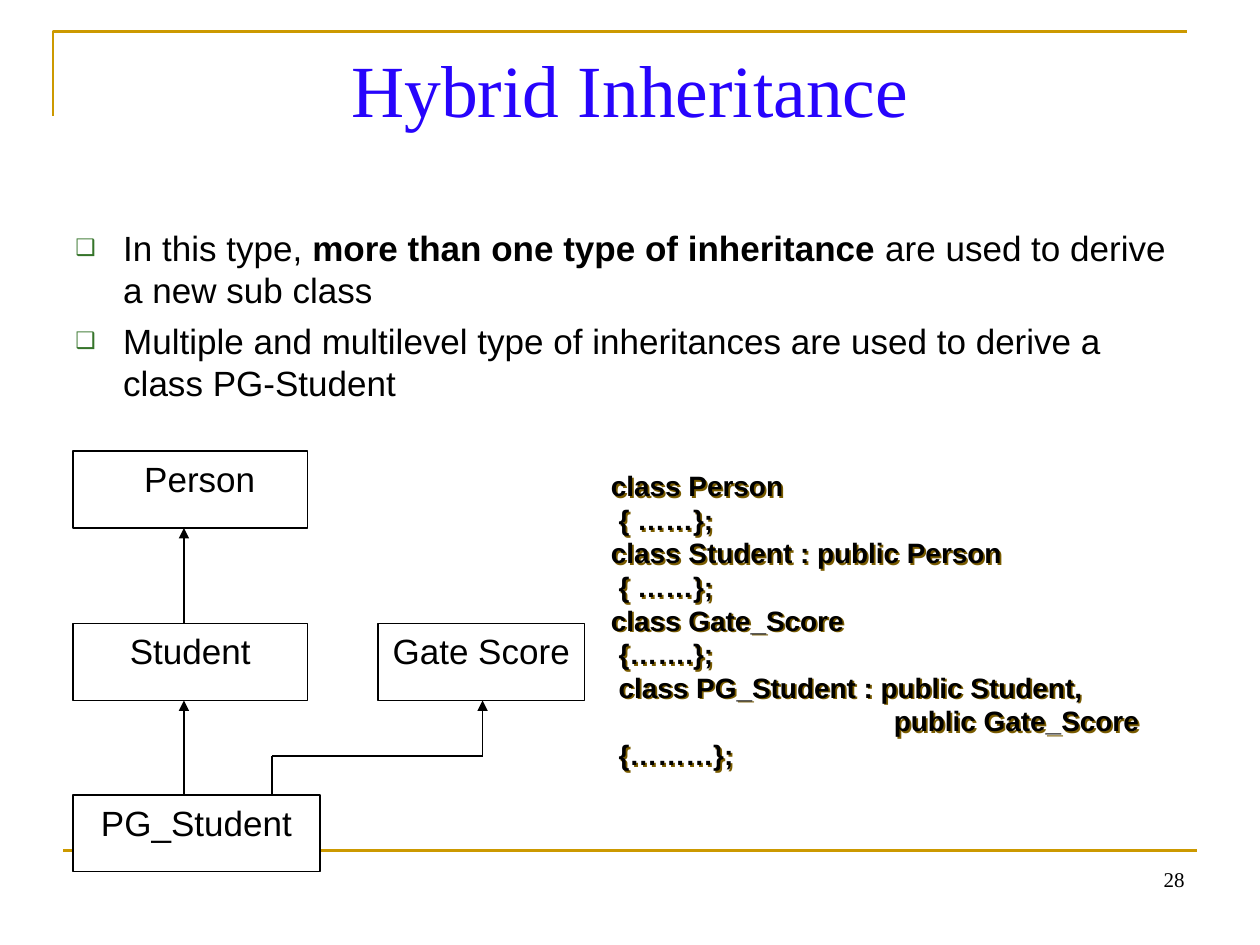
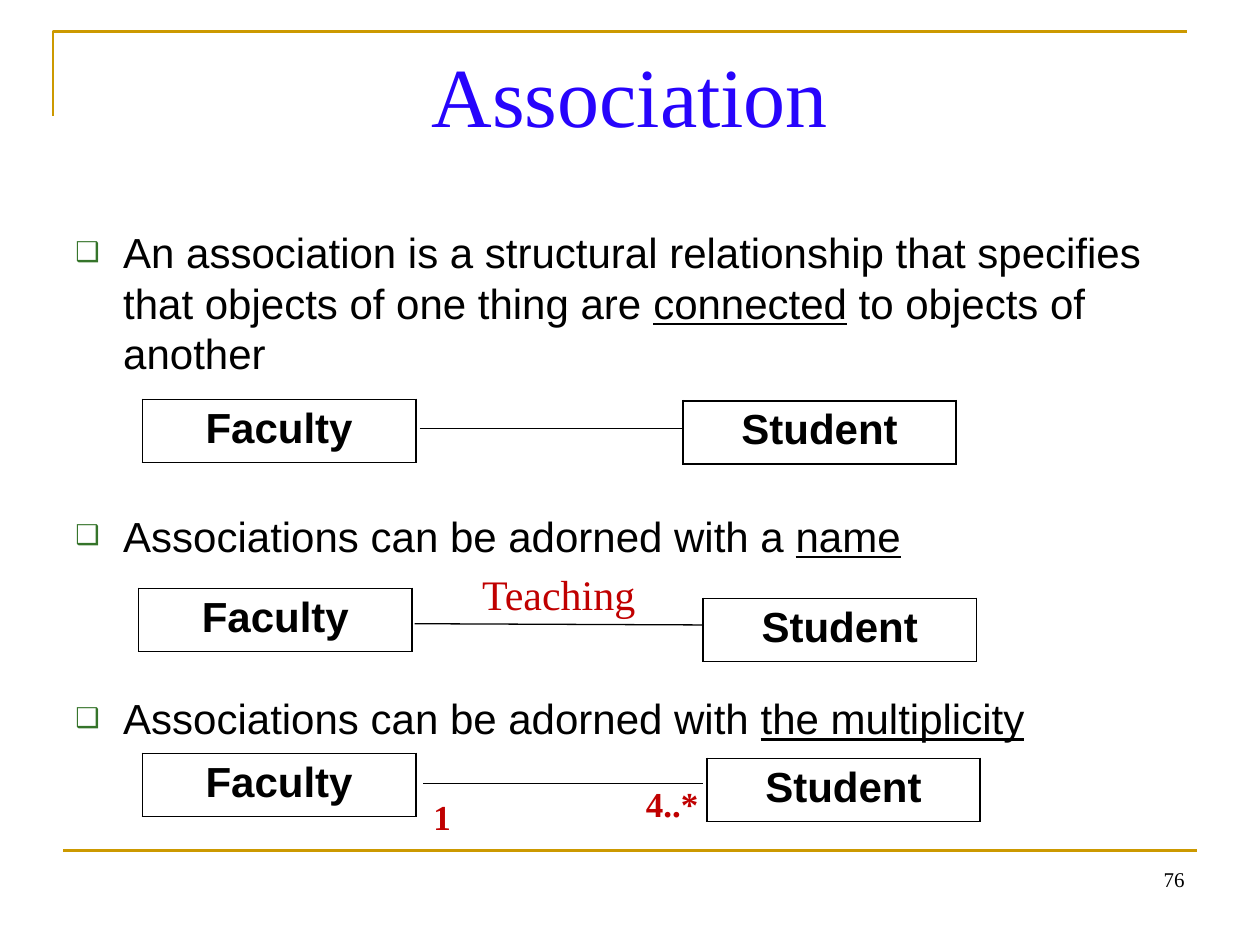
from dataclasses import dataclass

from lxml.etree import SubElement
from pptx import Presentation
from pptx.dml.color import RGBColor
from pptx.enum.shapes import MSO_CONNECTOR, MSO_SHAPE
from pptx.enum.text import MSO_ANCHOR, PP_ALIGN
from pptx.oxml.ns import qn
from pptx.util import Inches, Pt

BLACK = RGBColor(0x00, 0x00, 0x00)
WHITE = RGBColor(0xFF, 0xFF, 0xFF)
TITLE_BLUE = RGBColor(0x27, 0x04, 0xFC)
GOLD = RGBColor(0xCC, 0x99, 0x00)
DARK_GOLD = RGBColor(0x7A, 0x5C, 0x00)
BULLET_GREEN = RGBColor(0x35, 0x74, 0x2A)
ADORNMENT_RED = RGBColor(0xC0, 0x00, 0x00)

SANS, SERIF = "Arial", "Times New Roman"
COLUMNS, ROWS = 10, 7.5
CELL = Inches(1)
LINE_HEIGHT = 1.2
CLASS_HEIGHT = 0.61
ENTITY_WIDTH, ENTITY_HEIGHT = 2.17, 0.5

CODE = (
    "class Person",
    " { ……};",
    "class Student : public Person",
    " { ……};",
    "class Gate_Score",
    " {…….};",
    " class PG_Student : public Student,",
    "\t \t    public Gate_Score",
    " {………};",
)


@dataclass
class Style:
    """Typeface settings of a paragraph."""
    size: float
    name: str = SANS
    color: RGBColor = BLACK
    bold: bool = False
    align: PP_ALIGN = PP_ALIGN.LEFT


def cells(*counts):
    """Convert counts of grid cells to lengths."""
    return [round(count * CELL) for count in counts]


def style_paragraph(paragraph, style):
    """Apply a style to a paragraph and its runs."""
    paragraph.alignment = style.align
    paragraph.line_spacing = Pt(round(style.size * LINE_HEIGHT, 1))
    for run in paragraph.runs:
        run.font.size = Pt(style.size)
        run.font.name = style.name
        run.font.color.rgb = style.color
        if style.bold:
            run.font.bold = True


def write_lines(frame, lines, style):
    """Fill a text frame with one styled paragraph per line."""
    frame.text = "\n".join(lines)
    for paragraph in frame.paragraphs:
        style_paragraph(paragraph, style)


def add_text(slide, box, lines, style, wrap=True, anchor=MSO_ANCHOR.TOP):
    """Add a text box and return it."""
    text = slide.shapes.add_textbox(*cells(*box))
    text.text_frame.word_wrap = wrap
    text.text_frame.vertical_anchor = anchor
    write_lines(text.text_frame, lines, style)
    return text


def add_line(slide, start, end, color=BLACK, width=0.75, arrow=False):
    """Draw a straight line, with an arrowhead at its end if asked."""
    line = slide.shapes.add_connector(MSO_CONNECTOR.STRAIGHT, *cells(*start, *end))
    line.line.color.rgb = color
    line.line.width = Pt(width)
    if arrow:
        SubElement(line.line._get_or_add_ln(), qn("a:tailEnd"), type="triangle")
    SubElement(line._element.spPr, qn("a:effectLst"))


def add_frame(slide):
    """Draw the gold corner and the footer rule."""
    left, top = 0.42, 0.25
    builder = slide.shapes.build_freeform(*cells(left, top + 0.67))
    builder.add_line_segments([cells(left, top), cells(left + 9, top)], close=False)
    corner = builder.convert_to_shape()
    corner.fill.background()
    corner.line.color.rgb = GOLD
    corner.line.width = Pt(1.5)
    corner.shadow.inherit = False
    add_line(slide, (0.5, 6.75), (9.5, 6.75), GOLD, 1.5)


def add_topic_slide(deck, title, title_size, number):
    """Add a slide with its frame, title and page number."""
    slide = deck.slides.add_slide(deck.slide_layouts[6])
    add_frame(slide)
    add_text(slide, (0.5, 0.3, 9, 1.25), [title],
             Style(title_size, SERIF, TITLE_BLUE, align=PP_ALIGN.CENTER))
    add_text(slide, (7.17, 6.83, 2.33, 0.52), [number],
             Style(12, SERIF, align=PP_ALIGN.RIGHT))
    return slide


def add_bullet_mark(paragraph):
    """Give a paragraph a hanging green square."""
    properties = paragraph._p.get_or_add_pPr()
    indent = Inches(0.38)
    properties.set("marL", str(indent))
    properties.set("indent", str(-indent))
    color = SubElement(properties, qn("a:buClr"))
    SubElement(color, qn("a:srgbClr"), val=str(BULLET_GREEN))
    SubElement(properties, qn("a:buSzPct"), val="65000")
    SubElement(properties, qn("a:buFont"), typeface=SANS)
    SubElement(properties, qn("a:buChar"), char="❑")


def add_bullets(slide, points, size, gap, emphasis):
    """Write points as (before, stressed, after), stressing by a font attribute."""
    body = add_text(slide, (0.5, 1.75, 9, 4.95), [""] * len(points), Style(size))
    for index, (paragraph, parts) in enumerate(zip(body.text_frame.paragraphs, points)):
        add_bullet_mark(paragraph)
        for position, part in enumerate(parts):
            run = paragraph.add_run()
            run.text = part
            if position == 1:
                setattr(run.font, emphasis, True)
        style_paragraph(paragraph, Style(size))
        if index:
            paragraph.space_before = Pt(gap)


def add_class(slide, name, left, top, width, shift=0):
    """Draw a class box, its name shifted by a wider left margin."""
    box = slide.shapes.add_shape(MSO_SHAPE.RECTANGLE, *cells(left, top, width, CLASS_HEIGHT))
    box.fill.solid()
    box.fill.fore_color.rgb = WHITE
    box.line.color.rgb = BLACK
    box.line.width = Pt(0.75)
    box.shadow.inherit = False
    frame = box.text_frame
    frame.word_wrap = True
    frame.vertical_anchor = MSO_ANCHOR.TOP
    frame.margin_left = Inches(0.1 + shift)
    write_lines(frame, [name], Style(20, align=PP_ALIGN.CENTER))


def add_code(slide):
    """Write the class declarations with tab stops and a gold shadow."""
    code = add_text(slide, (4.75, 3.67, 4.91, 2.5), CODE, Style(16, bold=True),
                    anchor=MSO_ANCHOR.MIDDLE)
    for paragraph in code.text_frame.paragraphs:
        stops = SubElement(paragraph._p.get_or_add_pPr(), qn("a:tabLst"))
        for column in (1, 2):
            SubElement(stops, qn("a:tab"), pos=str(column * CELL), algn="l")
    effects = SubElement(code._element.spPr, qn("a:effectLst"))
    shadow = SubElement(effects, qn("a:outerShdw"), dist="18000", dir="2700000")
    SubElement(shadow, qn("a:srgbClr"), val=str(DARK_GOLD))


def add_entity(slide, name, left, top):
    """Draw an entity as a bordered table of one cell."""
    table = slide.shapes.add_table(
        1, 1, *cells(left, top, ENTITY_WIDTH, ENTITY_HEIGHT)).table
    table.first_row = table.horz_banding = False
    cell = table.cell(0, 0)
    cell.margin_top = Inches(0.02)
    properties = cell._tc.get_or_add_tcPr()
    for side in ("lnL", "lnR", "lnT", "lnB"):
        border = SubElement(properties, qn(f"a:{side}"), w=str(Pt(1.08)))
        fill = SubElement(border, qn("a:solidFill"))
        SubElement(fill, qn("a:srgbClr"), val=str(BLACK))
    cell.fill.background()
    write_lines(cell.text_frame, [name], Style(24, bold=True, align=PP_ALIGN.CENTER))


def add_association(slide, faculty, student, start, end):
    """Join a faculty entity to a student entity."""
    add_entity(slide, "Faculty", *faculty)
    add_entity(slide, "Student", *student)
    add_line(slide, start, end)


def add_adornment(slide, text, box, size, bold=True):
    """Write a red label on one line beside an association."""
    style = Style(size, SERIF, ADORNMENT_RED, bold, PP_ALIGN.CENTER)
    label = add_text(slide, box, [text], style, wrap=False, anchor=MSO_ANCHOR.MIDDLE)
    label.text_frame.margin_left = label.text_frame.margin_right = 0


def build_hybrid_inheritance(deck):
    """Build the slide on hybrid inheritance."""
    slide = add_topic_slide(deck, "Hybrid Inheritance", 42, "28")
    add_bullets(slide, [
        ("In this type, ", "more than one type of inheritance ",
         "are used to derive a new sub class"),
        ("Multiple and multilevel type of inheritances are used to derive "
         "a class PG-Student",),
    ], 20, 5, "bold")

    left, person, student, postgraduate = 0.58, 3.58, 4.95, 6.31
    add_class(slide, "Person", left, person, 1.86, shift=0.15)
    add_class(slide, "Student", left, student, 1.86)
    add_class(slide, "PG_Student", left, postgraduate, 1.96)
    add_class(slide, "Gate Score", 3, student, 1.64)

    trunk, branch, score, elbow = 1.46, 2.16, 3.83, 6
    for parent, child in ((person, student), (student, postgraduate)):
        add_line(slide, (trunk, child), (trunk, parent + CLASS_HEIGHT), arrow=True)
    add_line(slide, (branch, elbow), (branch, postgraduate))
    add_line(slide, (branch, elbow), (score, elbow))
    add_line(slide, (score, elbow), (score, student + CLASS_HEIGHT), arrow=True)
    add_code(slide)


def build_association(deck):
    """Build the slide on association."""
    slide = add_topic_slide(deck, "Association", 48, "76")
    size, gap = 24, 6
    diagram_gap = gap + 2 * (size * LINE_HEIGHT + gap)
    add_bullets(slide, [
        ("An association is a structural relationship that specifies that objects "
         "of one thing are ", "connected", " to objects of another"),
        ("Associations can be adorned with a ", "name"),
        ("Associations can be adorned with ", "the multiplicity"),
    ], size, diagram_gap, "underline")

    add_association(slide, (1.13, 3.17), (5.42, 3.18), (3.33, 3.4), (5.42, 3.4))
    add_association(slide, (1.1, 4.67), (5.58, 4.75), (3.29, 4.95), (5.58, 4.96))
    add_association(slide, (1.13, 5.98), (5.61, 6.02), (3.36, 6.22), (5.58, 6.22))
    add_adornment(slide, "Teaching", (3.73, 4.47, 1.41, 0.48), 24, bold=False)
    add_adornment(slide, "1", (3.36, 6.27, 0.3, 0.42), 20)
    add_adornment(slide, "4..*", (5.04, 6.17, 0.59, 0.42), 20)


def main():
    """Build and save the deck."""
    deck = Presentation()
    deck.slide_width, deck.slide_height = cells(COLUMNS, ROWS)
    build_hybrid_inheritance(deck)
    build_association(deck)
    deck.save("out.pptx")


if __name__ == "__main__":
    main()
